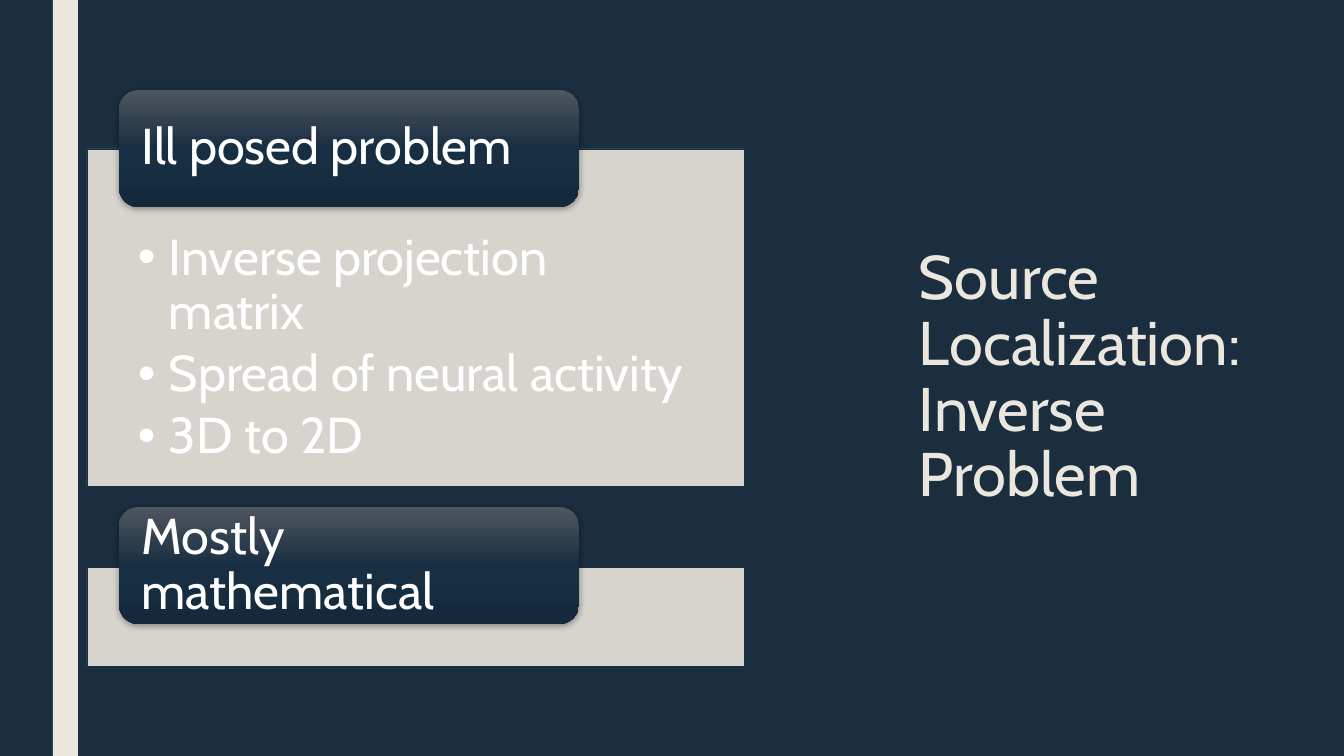
import pptx
import pptx.dml.color
import pptx.enum.shapes
import pptx.enum.text
import pptx.oxml.ns
import pptx.oxml.xmlchemy
import pptx.util
from lxml import etree

NAVY = "1A2E40"
CREAM = "EBE7DD"
WHITE = "FFFFFF"
TAB_STOPS = [(0, "4F565F"), (50, "182E42"), (100, "14293C")]
SHAPES = pptx.enum.shapes.MSO_SHAPE
ANCHORS = pptx.enum.text.MSO_ANCHOR


def px(length):
    return pptx.util.Emu(round(length * 914400 / 100.8))


def color(hex_string):
    return pptx.dml.color.RGBColor.from_string(hex_string)


def add_child(parent, tag, **attributes):
    child = etree.SubElement(parent, pptx.oxml.ns.qn(tag))
    for name, value in attributes.items():
        child.set(name, str(value))
    return child


def write_text(shape, lines, size=36, text_color=WHITE, anchor=ANCHORS.MIDDLE,
               insets=(10, 5, 10, 5), spacing=0.9, after=0, bullet_indent=0):
    frame = shape.text_frame
    frame.word_wrap = True
    frame.vertical_anchor = anchor
    frame.margin_left, frame.margin_top, frame.margin_right, frame.margin_bottom = map(px, insets)
    for index, line in enumerate(lines):
        paragraph = frame.add_paragraph() if index else frame.paragraphs[0]
        paragraph.text = line
        paragraph.alignment = pptx.enum.text.PP_ALIGN.LEFT
        paragraph.line_spacing = spacing
        paragraph.space_after = pptx.util.Pt(after)
        if bullet_indent:
            properties = paragraph._p.get_or_add_pPr()
            properties.set("marL", str(px(bullet_indent)))
            properties.set("indent", str(-px(bullet_indent)))
            add_child(properties, "a:buFont", typeface="Arial")
            add_child(properties, "a:buChar", char="•")
        font = paragraph.runs[0].font
        font.name = "Cabin"
        font.size = pptx.util.Pt(size)
        font.color.rgb = color(text_color)


class SlideBuilder:
    def __init__(self, presentation):
        self.slide = presentation.slides.add_slide(presentation.slide_layouts[6])
        self.slide.background.fill.solid()
        self.slide.background.fill.fore_color.rgb = color(NAVY)

    def shape(self, kind, *box):
        shape = self.slide.shapes.add_shape(kind, *map(px, box))
        shape.shadow.inherit = False
        shape.line.fill.background()
        return shape

    def rectangle(self, *box):
        shape = self.shape(SHAPES.RECTANGLE, *box)
        shape.fill.solid()
        shape.fill.fore_color.rgb = color(CREAM)
        return shape

    def panel(self, top, height):
        shape = self.rectangle(87, top, 657, height)
        fill_color = shape.element.spPr.find(".//" + pptx.oxml.ns.qn("a:srgbClr"))
        add_child(fill_color, "a:alpha", val=90000)
        shape.line.color.rgb = color(NAVY)
        shape.line.width = pptx.util.Pt(0.5)
        return shape

    def tab(self, top, label):
        shape = self.shape(SHAPES.ROUNDED_RECTANGLE, 119, top, 460, 117)
        shape.fill.gradient()
        shape.fill.gradient_angle = 270
        properties = shape.element.spPr
        stops = properties.find(".//" + pptx.oxml.ns.qn("a:gsLst"))
        for stop in list(stops):
            stops.remove(stop)
        for position, stop_color in TAB_STOPS:
            stop = add_child(stops, "a:gs", pos=position * 1000)
            add_child(stop, "a:srgbClr", val=stop_color)
        effects = properties.find(pptx.oxml.ns.qn("a:effectLst"))
        shadow = add_child(effects, "a:outerShdw", blurRad=pptx.util.Pt(4.5),
                           dist=pptx.util.Pt(1.5), dir=5400000, rotWithShape=0)
        shadow_color = add_child(shadow, "a:srgbClr", val="000000")
        add_child(shadow_color, "a:alpha", val=35000)
        write_text(shape, [label], insets=(17, 0, 17, 0))

    def title(self, text, *box):
        shape = self.slide.shapes.add_textbox(*map(px, box))
        write_text(shape, [text], size=44, text_color=CREAM, spacing=0.89)


def main():
    presentation = pptx.Presentation()
    presentation.slide_width = px(1344)
    presentation.slide_height = px(756)
    builder = SlideBuilder(presentation)
    builder.rectangle(53, 0, 25, 756)
    builder.title("Source Localization: Inverse Problem", 909, 71, 364, 615)
    details = builder.panel(149, 337)
    write_text(details, ["Inverse projection matrix", "Spread of neural activity", "3D to 2D"],
               anchor=ANCHORS.TOP, insets=(51, 83, 51, 28), after=5.4, bullet_indent=31)
    builder.tab(90, "Ill posed problem")
    builder.panel(567, 99)
    builder.tab(507, "Mostly mathematical")
    presentation.save("out.pptx")


if __name__ == "__main__":
    main()
